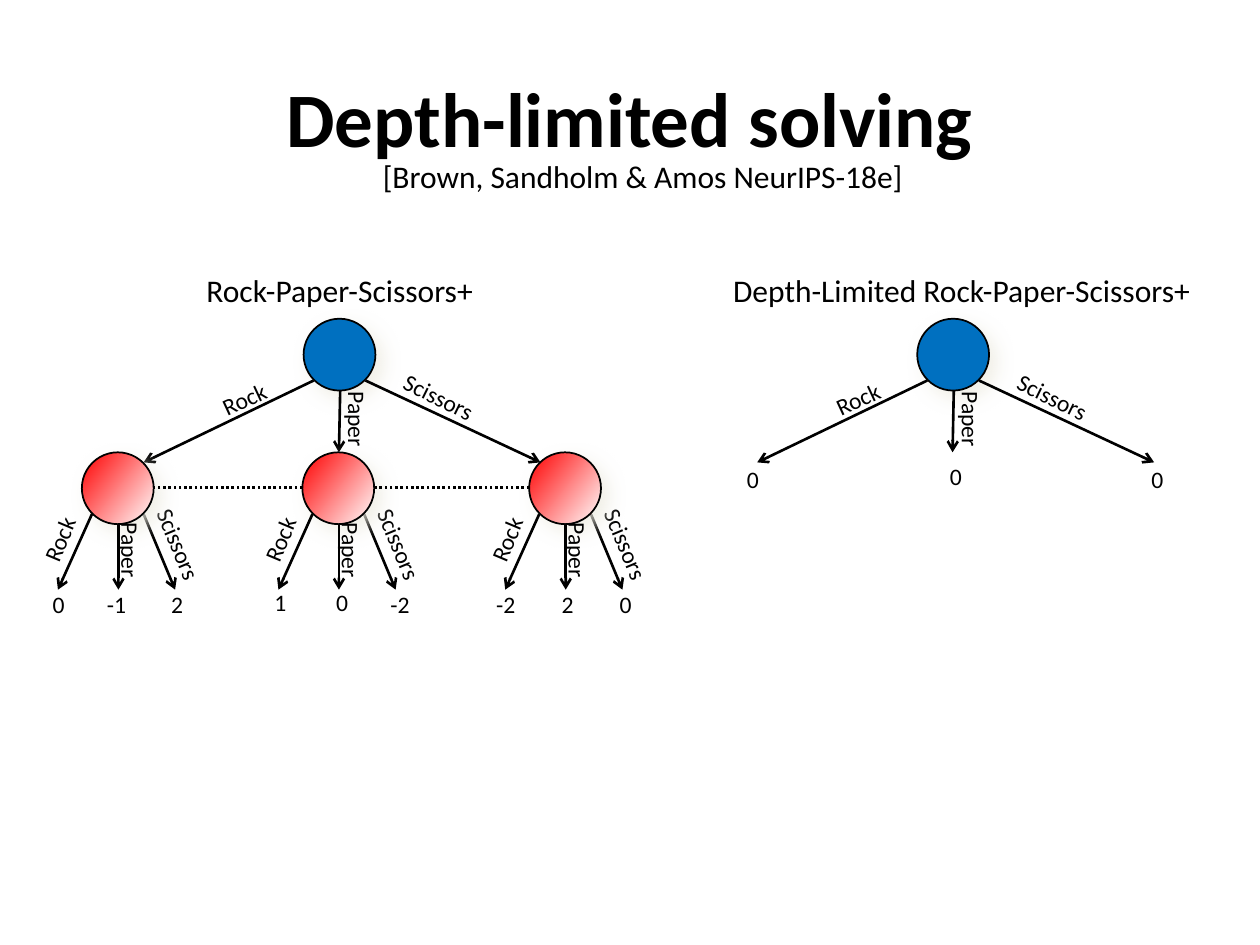
from lxml import etree
from pptx import Presentation
from pptx.dml.color import RGBColor
from pptx.enum.dml import MSO_LINE
from pptx.enum.shapes import MSO_CONNECTOR, MSO_SHAPE
from pptx.enum.text import MSO_ANCHOR, MSO_AUTO_SIZE, PP_ALIGN
from pptx.oxml.ns import qn
from pptx.util import Inches, Pt

OVAL, LINE, DOTS = MSO_SHAPE.OVAL, MSO_CONNECTOR.STRAIGHT, MSO_LINE.ROUND_DOT
CENTER, MIDDLE, FIT = PP_ALIGN.CENTER, MSO_ANCHOR.MIDDLE, MSO_AUTO_SIZE.SHAPE_TO_FIT_TEXT
BLACK, BLUE, RED, WHITE, SHADE = "000000", "0070C0", "FF0000", "FFFFFF", "EEECE1"
FONT, SIZE, SMALL, TALL = "Calibri", 0.57, 13.5, 0.33
ROOT_TOP, LEAF_TOP = 2.53, 3.59
WIDTHS = {"Rock": 0.57, "Paper": 0.65, "Scissors": 0.8}

# Content: headings as text, left, top, width
HEADS = [
    ("[Brown, Sandholm & Amos NeurIPS-18e]", 2.94, 1.2, 4.37),
    ("Rock-Paper-Scissors+", 1.54, 2.1, 2.35),
    ("Depth-Limited Rock-Paper-Scissors+", 5.72, 2.1, 3.88),
]
ROOTS = [2.41, 7.28]
LEAVES = [0.65, 2.4, 4.2]
# Payoffs as text, left, top
PAYS = [
    ("0", 0.32, 4.63), ("-1", 0.75, 4.63), ("2", 1.26, 4.63),
    ("1", 2.08, 4.62), ("0", 2.57, 4.62), ("-2", 3, 4.63),
    ("-2", 3.84, 4.63), ("2", 4.36, 4.63), ("0", 4.82, 4.63),
    ("0", 5.83, 3.64), ("0", 7.44, 3.62), ("0", 9.04, 3.64),
]
# Moves, measured from a node's top left corner:
# name, arrow start, arrow end, label corner, label turn
ROOT_MOVES = [
    ("Scissors", (0.49, 0.49), (1.88, 1.14), (0.68, 0.46), 26.4),
    ("Rock", (0.08, 0.49), (-1.27, 1.14), (-0.75, 0.47), 335.1),
    ("Paper", (0.29, 0.57), (0.28, 1.06), (0.1, 0.64), 90),
]
LEAF_MOVES = [
    ("Scissors", (0.49, 0.49), (0.74, 1.09), (0.37, 0.57), 67.4),
    ("Rock", (0.08, 0.49), (-0.19, 1.09), (-0.46, 0.52), 292.8),
    ("Paper", (0.29, 0.57), (0.29, 1.09), (0.06, 0.62), 90),
]

deck = Presentation()
deck.slide_width, deck.slide_height = Inches(10), Inches(7.5)
slide = deck.slides.add_slide(deck.slide_layouts[6])
shapes = slide.shapes


def color(code):
    return RGBColor.from_string(code)


def write(text, x, y, w, h, size=18, turn=0):
    box = shapes.add_textbox(Inches(x), Inches(y), Inches(w), Inches(h))
    box.rotation = turn
    frame = box.text_frame
    frame.word_wrap = False
    frame.auto_size = FIT
    run = frame.paragraphs[0].add_run()
    run.text = text
    run.font.name, run.font.size = FONT, Pt(size)
    run.font.color.rgb = color(BLACK)
    return frame


def link(x1, y1, x2, y2, arrow=True):
    wire = shapes.add_connector(LINE, Inches(x1), Inches(y1), Inches(x2), Inches(y2))
    wire.line.width = Pt(1.5)
    wire.line.color.rgb = color(BLACK)
    if arrow:
        etree.SubElement(wire.line._get_or_add_ln(), qn("a:tailEnd"), type="arrow")
    else:
        wire.line.dash_style = DOTS
    etree.SubElement(wire._element.spPr, qn("a:effectLst"))


def glow(node):
    """Give the node a soft shadow to the lower right."""
    effects = etree.SubElement(node._element.spPr, qn("a:effectLst"))
    cast = etree.SubElement(effects, qn("a:outerShdw"), blurRad=str(Pt(10)),
                            dist=str(Pt(6)), dir="2700000", rotWithShape="0")
    tint = etree.SubElement(cast, qn("a:srgbClr"), val=SHADE)
    etree.SubElement(tint, qn("a:alpha"), val="75000")


def circle(x, y, fade):
    node = shapes.add_shape(OVAL, Inches(x), Inches(y), Inches(SIZE), Inches(SIZE))
    if fade:
        node.fill.gradient()
        node.fill.gradient_angle = 322
        for stop, code in zip(node.fill.gradient_stops, (RED, WHITE)):
            stop.color.rgb = color(code)
    else:
        node.fill.solid()
        node.fill.fore_color.rgb = color(BLUE)
    node.line.color.rgb = color(BLACK)
    node.line.width = Pt(1)
    glow(node)


def branch(x, y, move):
    name, start, end, spot, turn = move
    link(x + start[0], y + start[1], x + end[0], y + end[1])
    write(name, x + spot[0], y + spot[1], WIDTHS[name], TALL, SMALL, turn)


# Title and headings
title = write("Depth-limited solving", 0.5, 0.3, 9, 1.25, 44)
title.word_wrap, title.auto_size = True, MSO_AUTO_SIZE.NONE
title.vertical_anchor = MIDDLE
title.paragraphs[0].alignment = CENTER
title.paragraphs[0].runs[0].font.bold = True
for text, x, y, w in HEADS:
    write(text, x, y, w, 0.4)

# First player's nodes
for x in ROOTS:
    circle(x, ROOT_TOP, False)
    for move in ROOT_MOVES:
        branch(x, ROOT_TOP, move)

# Second player's nodes; the node's shadow falls over the Scissors branch
for x in LEAVES:
    branch(x, LEAF_TOP, LEAF_MOVES[0])
    circle(x, LEAF_TOP, True)
    for move in LEAF_MOVES[1:]:
        branch(x, LEAF_TOP, move)

# Dotted information set
for left, right in zip(LEAVES, LEAVES[1:]):
    link(right, 3.87, left + SIZE, 3.87, arrow=False)

# Payoffs
for text, x, y in PAYS:
    write(text, x, y, 0.36 if len(text) > 1 else 0.3, TALL, SMALL)

deck.save("out.pptx")
